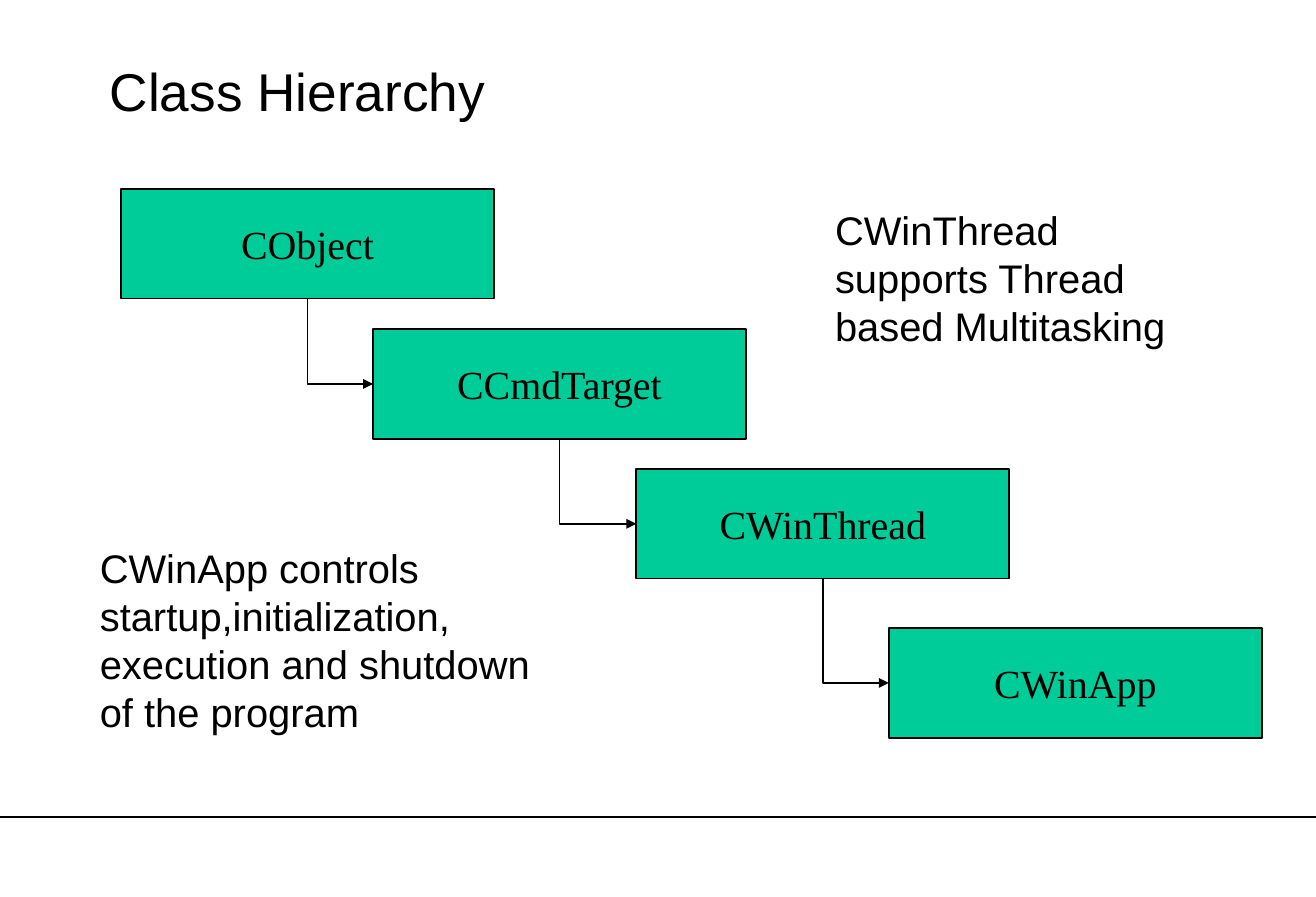
import pptx
import pptx.dml.color
import pptx.enum.shapes
import pptx.enum.text
import pptx.oxml.ns
import pptx.oxml.xmlchemy
import pptx.util
from pptx.util import Cm

COLORS = {"ink": "000000", "box": "00CC99"}
BOX_W, BOX_H = 7.92, 2.33
# Class name, left, top (cm), from base class to derived class
CLASSES = [
    ("CObject", 2.57, 4.01),
    ("CCmdTarget", 7.92, 6.99),
    ("CWinThread", 13.51, 9.96),
    ("CWinApp", 18.87, 13.34),
]


def color(name):
    return pptx.dml.color.RGBColor.from_string(COLORS[name])


def write(tf, text, size, font):
    p = tf.paragraphs[0]
    p.text = text
    p.font.size = pptx.util.Pt(size)
    p.font.name = font
    p.font.color.rgb = color("ink")
    return p


def add_text(s, text, left, top, width, height, size):
    tf = s.shapes.add_textbox(Cm(left), Cm(top), Cm(width), Cm(height)).text_frame
    tf.word_wrap = True
    write(tf, text, size, "Arial")
    return tf


def add_class(s, name, left, top):
    sp = s.shapes.add_shape(pptx.enum.shapes.MSO_SHAPE.RECTANGLE,
                            Cm(left), Cm(top), Cm(BOX_W), Cm(BOX_H))
    sp.shadow.inherit = False
    sp.fill.solid()
    sp.fill.fore_color.rgb = color("box")
    sp.line.color.rgb = color("ink")
    sp.line.width = pptx.util.Pt(1)
    tf = sp.text_frame
    tf.word_wrap = False
    tf.vertical_anchor = pptx.enum.text.MSO_ANCHOR.MIDDLE
    p = write(tf, name, 24, "Times New Roman")
    p.alignment = pptx.enum.text.PP_ALIGN.CENTER


def add_line(s, kind, x1, y1, x2, y2, width):
    c = s.shapes.add_connector(kind, Cm(x1), Cm(y1), Cm(x2), Cm(y2))
    c.line.color.rgb = color("ink")
    c.line.width = pptx.util.Pt(width)
    c._element.spPr.append(pptx.oxml.xmlchemy.OxmlElement("a:effectLst"))
    return c


def add_arrow(s, x1, y1, x2, y2):
    """One-bend arrow that goes down, then right."""
    # A quarter turn swaps the sides about the shared centre
    cx, cy = (x1 + x2) / 2, (y1 + y2) / 2
    half_w, half_h = (y2 - y1) / 2, (x2 - x1) / 2
    c = add_line(s, pptx.enum.shapes.MSO_CONNECTOR.ELBOW,
                 cx - half_w, cy - half_h, cx + half_w, cy + half_h, 1)
    spPr = c._element.spPr
    spPr.find(pptx.oxml.ns.qn("a:prstGeom")).set("prst", "bentConnector2")
    xfrm = spPr.find(pptx.oxml.ns.qn("a:xfrm"))
    xfrm.set("rot", str(270 * 60000))
    xfrm.set("flipH", "1")
    tail = pptx.oxml.xmlchemy.OxmlElement("a:tailEnd")
    tail.set("type", "triangle")
    spPr.find(pptx.oxml.ns.qn("a:ln")).append(tail)


def main():
    prs = pptx.Presentation()
    prs.slide_width, prs.slide_height = Cm(27.94), Cm(19.05)
    s = prs.slides.add_slide(prs.slide_layouts[6])

    # Footer rule and title
    add_line(s, pptx.enum.shapes.MSO_CONNECTOR.STRAIGHT, 0, 17.35, 27.94, 17.35, 0.75)
    title = add_text(s, "Class Hierarchy", 2.08, 0.64, 21.62, 2.54, 32)
    title.vertical_anchor = pptx.enum.text.MSO_ANCHOR.MIDDLE

    # Class boxes
    for name, left, top in CLASSES:
        add_class(s, name, left, top)

    # Arrows from each class to the one derived from it
    for (_, left, top), (_, next_left, next_top) in zip(CLASSES, CLASSES[1:]):
        add_arrow(s, left + BOX_W / 2, top + BOX_H, next_left, next_top + BOX_H / 2)

    # Remarks
    add_text(s, "CWinApp controls startup,initialization, execution and shutdown of the program",
             1.87, 11.43, 9.78, 4.32, 24)
    add_text(s, "CWinThread supports Thread based Multitasking",
             17.48, 4.24, 8.38, 3.3, 24)

    prs.save("out.pptx")


if __name__ == "__main__":
    main()
